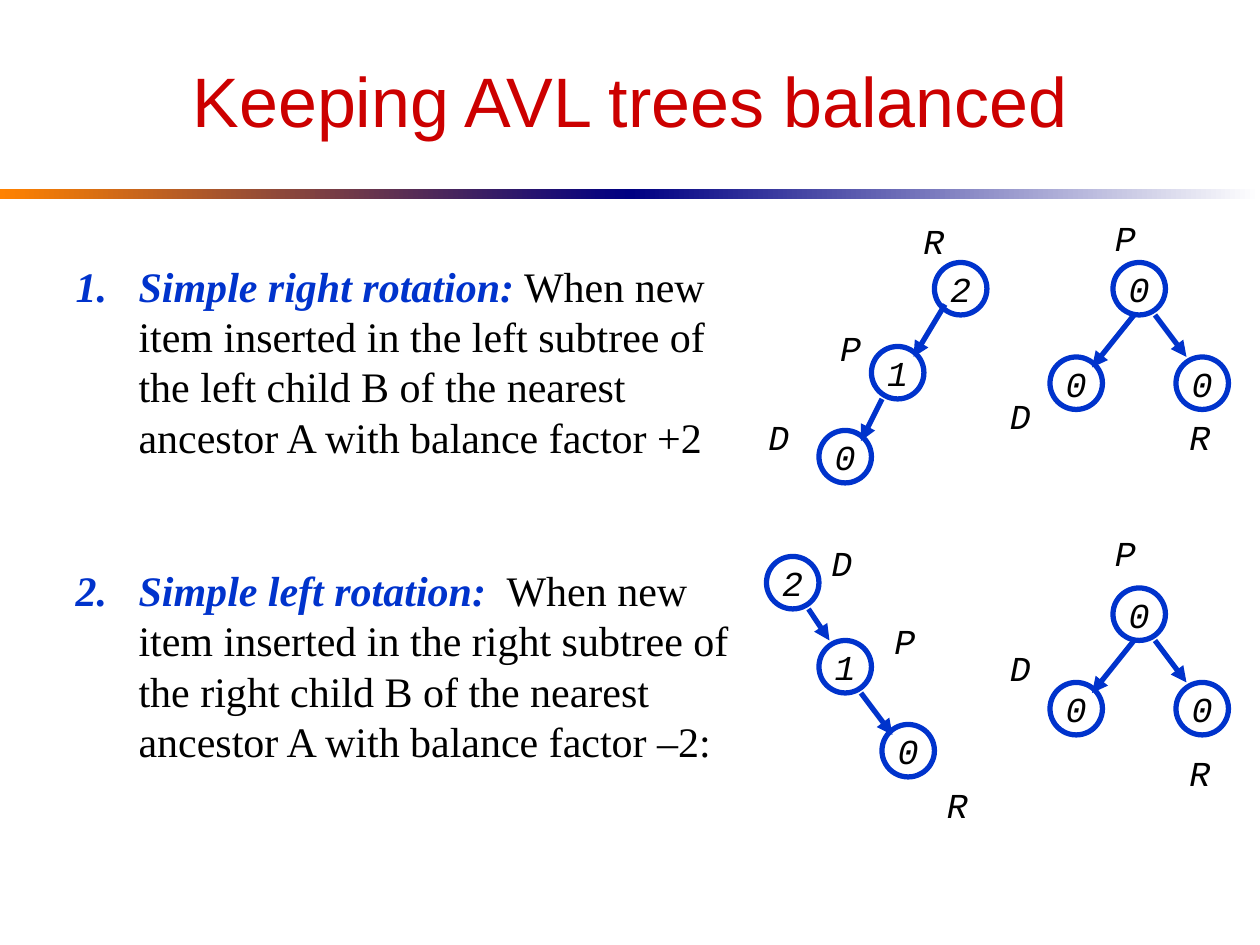
from lxml import etree
from pptx import Presentation
from pptx.dml.color import RGBColor
from pptx.enum.shapes import MSO_CONNECTOR, MSO_SHAPE
from pptx.enum.text import MSO_ANCHOR, MSO_AUTO_SIZE, PP_ALIGN
from pptx.oxml.ns import qn
from pptx.util import Pt

CENTER, LEFT = PP_ALIGN.CENTER, PP_ALIGN.LEFT
MIDDLE, TOP = MSO_ANCHOR.MIDDLE, MSO_ANCHOR.TOP
NO_AUTOFIT = MSO_AUTO_SIZE.NONE
OVAL, RECTANGLE = MSO_SHAPE.OVAL, MSO_SHAPE.RECTANGLE
STRAIGHT = MSO_CONNECTOR.STRAIGHT

BLUE, RED, BLACK, WHITE = "0033CC", "CC0000", "000000", "FFFFFF"
ORANGE, NAVY = "FF8200", "000082"
NODE_SIZE = 30

ROTATIONS = [
    ("Simple right rotation:",
     " When new item inserted in the left subtree of the left child B "
     "of the nearest ancestor A with balance factor +2", 0),
    ("Simple left rotation:",
     "  When new item inserted in the right subtree of the right child B "
     "of the nearest ancestor A with balance factor –2:", 58.8),
]

LEFT_HEAVY = {
    "nodes": [("2", 534, 150), ("1", 498, 198), ("0", 468, 246)],
    "edges": [(540, 174, 522, 204), (504, 228, 492, 252)],
    "labels": [("R", 520.5, 122), ("P", 473, 183), ("D", 432, 234)],
}
RIGHT_HEAVY = {
    "nodes": [("2", 438, 318), ("1", 468, 366), ("0", 504, 414)],
    "edges": [(462, 348, 474, 366), (492, 396, 510, 420)],
    "labels": [("D", 468, 306), ("P", 504, 350.5), ("R", 534, 444)],
}


def balanced_tree(top, label_tops):
    columns = zip("PDR", (630, 570, 672.5), label_tops)
    return {
        "nodes": [("0", 636, top), ("0", 600, top + 54), ("0", 672, top + 54)],
        "edges": [(648, top + 30, 624, top + 60), (660, top + 30, 678, top + 54)],
        "labels": list(columns),
    }


def rgb(hex_colour):
    return RGBColor.from_string(hex_colour)


def write(paragraph, text, size=20, font="Courier New", colour=BLACK,
          bold=False, italic=True, align=LEFT):
    paragraph.alignment = align
    run = paragraph.add_run()
    run.text = text
    run.font.size = Pt(size)
    run.font.name = font
    run.font.bold = bold
    run.font.italic = italic
    run.font.color.rgb = rgb(colour)


def place(placeholder, left, top, width, height, anchor):
    placeholder.left, placeholder.top = Pt(left), Pt(top)
    placeholder.width, placeholder.height = Pt(width), Pt(height)
    frame = placeholder.text_frame
    frame.auto_size = NO_AUTOFIT
    frame.word_wrap = True
    frame.vertical_anchor = anchor
    return frame


def number(paragraph, colour, font):
    properties = paragraph._p.get_or_add_pPr()
    properties.set("marL", str(Pt(36)))
    properties.set("indent", str(-Pt(36)))
    bullet_colour = etree.SubElement(properties, qn("a:buClr"))
    etree.SubElement(bullet_colour, qn("a:srgbClr"), val=colour)
    etree.SubElement(properties, qn("a:buFont"), typeface=font)
    etree.SubElement(properties, qn("a:buAutoNum"), type="arabicPeriod")


def add_rotation_list(placeholder):
    frame = place(placeholder, 36, 145, 408, 296, TOP)
    serif = "Times New Roman"
    for index, (name, rule, gap) in enumerate(ROTATIONS):
        paragraph = frame.add_paragraph() if index else frame.paragraphs[0]
        paragraph.line_spacing = Pt(28.8)
        paragraph.space_before = Pt(gap)
        number(paragraph, BLUE, serif)
        write(paragraph, name, size=24, font=serif, colour=BLUE, bold=True)
        write(paragraph, rule, size=24, font=serif, italic=False)


def add_band(slide, left, start, end):
    band = slide.shapes.add_shape(RECTANGLE, Pt(left), Pt(108), Pt(360), Pt(5.76))
    band.shadow.inherit = False
    band.line.fill.background()
    band.fill.gradient()
    band.fill.gradient_angle = 0
    for stop, colour in zip(band.fill.gradient_stops, (start, end)):
        stop.color.rgb = rgb(colour)


def add_node(slide, balance, left, top):
    node = slide.shapes.add_shape(
        OVAL, Pt(left), Pt(top), Pt(NODE_SIZE), Pt(NODE_SIZE))
    node.shadow.inherit = False
    node.fill.solid()
    node.fill.fore_color.rgb = rgb(WHITE)
    node.line.color.rgb = rgb(BLUE)
    node.line.width = Pt(3)
    frame = node.text_frame
    frame.word_wrap = False
    frame.vertical_anchor = MIDDLE
    write(frame.paragraphs[0], balance, align=CENTER)


def add_edge(slide, *ends):
    edge = slide.shapes.add_connector(STRAIGHT, *map(Pt, ends))
    edge.line.color.rgb = rgb(BLUE)
    edge.line.width = Pt(3)
    etree.SubElement(edge.line._get_or_add_ln(), qn("a:tailEnd"), type="triangle")
    etree.SubElement(edge._element.spPr, qn("a:effectLst"))


def add_label(slide, letter, left, top):
    width = 26.4 if letter == "R" else 31
    label = slide.shapes.add_textbox(Pt(left), Pt(top), Pt(width), Pt(31.5))
    label.text_frame.word_wrap = True
    write(label.text_frame.paragraphs[0], letter)


def add_tree(slide, tree):
    for node in tree["nodes"]:
        add_node(slide, *node)
    for edge in tree["edges"]:
        add_edge(slide, *edge)
    for label in tree["labels"]:
        add_label(slide, *label)


def main():
    deck = Presentation()
    deck.slide_width, deck.slide_height = Pt(720), Pt(540)
    slide = deck.slides.add_slide(deck.slide_layouts[1])
    heading = place(slide.shapes.title, 36, 18, 648, 78, MIDDLE)
    write(heading.paragraphs[0], "Keeping AVL trees balanced", size=40,
          font="Arial", colour=RED, italic=False, align=CENTER)
    add_rotation_list(slide.placeholders[1])
    add_band(slide, 0, ORANGE, NAVY)
    add_band(slide, 360, NAVY, WHITE)
    for tree in (LEFT_HEAVY, balanced_tree(150, (120, 222, 234)),
                 RIGHT_HEAVY, balanced_tree(336, (300, 366, 426))):
        add_tree(slide, tree)
    deck.save("out.pptx")


if __name__ == "__main__":
    main()
